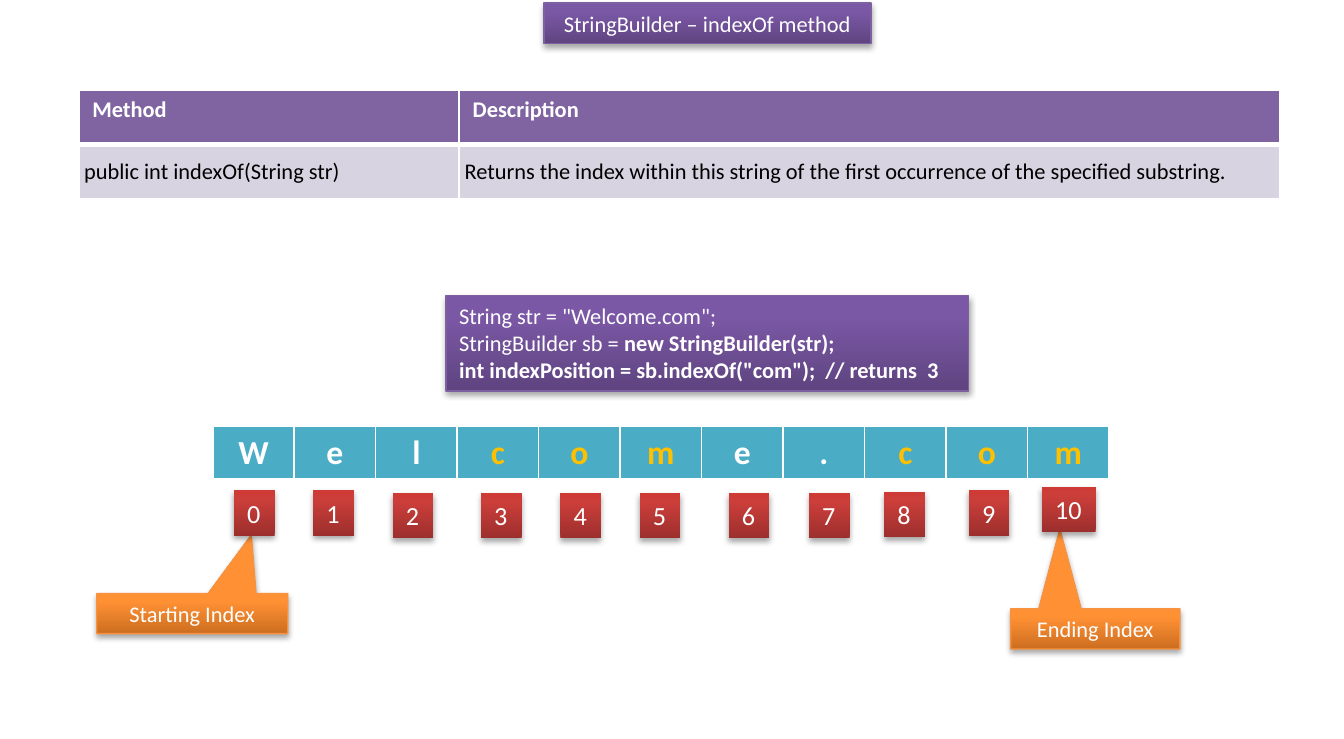
from copy import deepcopy

from lxml.etree import SubElement
from pptx import Presentation
from pptx.dml.color import RGBColor
from pptx.enum.shapes import MSO_SHAPE
from pptx.enum.text import MSO_ANCHOR, MSO_AUTO_SIZE, PP_ALIGN
from pptx.oxml.ns import qn
from pptx.util import Cm, Pt

WHITE, BLACK, GOLD = "FFFFFF", "000000", "FFC000"
HEADER, BODY, TEAL = "8064A2", "D8D3E0", "4BACC6"
PURPLE_GRADIENT = ("5F4480", "7B58A6", "7C57A8")
RED_GRADIENT = ("9C2F2D", "CB3E3A", "CE3B37")
ORANGE_GRADIENT = ("CC6E20", "FF9034", "FF9136")
PURPLE_LINE, ORANGE_LINE = "7D60A0", "F69240"

WORD = "Welcome.com"
MATCH = "com"
INDEX_LEFTS = (4.42, 5.92, 7.42, 9.09, 10.59, 12.09, 13.77, 15.29, 16.71, 18.31, 19.69)
INDEX_TOPS = (9.27, 9.27) + (9.32,) * 6 + (9.3, 9.27, 9.2)


def rgb(color):
    return RGBColor.from_string(color)


def add_run(p, text, size, color=WHITE, bold=False):
    r = p.add_run()
    r.text = text
    r.font.name = "Calibri"
    r.font.size = Pt(size)
    r.font.bold = bold
    r.font.color.rgb = rgb(color)


def fill_gradient(sp, colors):
    """Blend from the first colour at the bottom to the last at the top."""
    sp.fill.gradient()
    sp.fill.gradient_angle = 90
    stop_list = sp._element.spPr.find(qn("a:gradFill")).find(qn("a:gsLst"))
    stop_list.append(deepcopy(stop_list[-1]))
    for stop, position, color in zip(sp.fill.gradient_stops, (0, 0.8, 1), colors):
        stop.position = position
        stop.color.rgb = rgb(color)


def add_shadow(sp):
    sp.shadow.inherit = False
    effects = sp._element.spPr.find(qn("a:effectLst"))
    shadow = SubElement(effects, qn("a:outerShdw"), blurRad="40000", dist="23000",
                        dir="5400000", rotWithShape="0")
    color = SubElement(shadow, qn("a:srgbClr"), val=BLACK)
    SubElement(color, qn("a:alpha"), val="35000")


def add_box(s, box, lines, gradient, line=None, size=12, align=PP_ALIGN.LEFT,
            anchor=MSO_ANCHOR.TOP, wrap=True, shape=MSO_SHAPE.RECTANGLE):
    """Add a shaded shape; each line of text is a list of (text, bold) runs."""
    sp = s.shapes.add_shape(shape, *map(Cm, box))
    fill_gradient(sp, gradient)
    if line:
        sp.line.color.rgb = rgb(line)
        sp.line.width = Pt(0.75)
    else:
        sp.line.fill.background()
    add_shadow(sp)
    tf = sp.text_frame
    tf.word_wrap = wrap
    tf.vertical_anchor = anchor
    if shape == MSO_SHAPE.RECTANGLE:
        tf.auto_size = MSO_AUTO_SIZE.SHAPE_TO_FIT_TEXT
    for i, runs in enumerate(lines):
        p = tf.add_paragraph() if i else tf.paragraphs[0]
        p.alignment = align
        for text, bold in runs:
            add_run(p, text, size, bold=bold)
    return sp


def add_callout(s, box, text, tip):
    sp = add_box(s, box, [[(text, False)]], ORANGE_GRADIENT, ORANGE_LINE,
                 align=PP_ALIGN.CENTER, anchor=MSO_ANCHOR.MIDDLE,
                 shape=MSO_SHAPE.RECTANGULAR_CALLOUT)
    sp.adjustments[0], sp.adjustments[1] = tip


def add_grid(s, left, top, widths, rows, row_height=1.03):
    table = s.shapes.add_table(rows, len(widths), Cm(left), Cm(top),
                               Cm(sum(widths)), Cm(row_height * rows)).table
    for column, width in zip(table.columns, widths):
        column.width = Cm(width)
    for row in table.rows:
        row.height = Cm(row_height)
    return table


def set_cell(cell, text, size, fill, color=WHITE, bold=True, bottom=3,
             align=PP_ALIGN.LEFT):
    tcPr = cell._tc.get_or_add_tcPr()
    for side, width in (("L", 1), ("R", 1), ("T", 1), ("B", bottom)):
        ln = SubElement(tcPr, qn("a:ln" + side), w=str(Pt(width)))
        SubElement(SubElement(ln, qn("a:solidFill")), qn("a:srgbClr"), val=WHITE)
    cell.fill.solid()
    cell.fill.fore_color.rgb = rgb(fill)
    p = cell.text_frame.paragraphs[0]
    p.alignment = align
    add_run(p, text, size, color, bold)


def add_method_table(s):
    table = add_grid(s, 1.49, 1.7, (7.19, 15.5), 2)
    for i, text in enumerate(("Method", "Description")):
        set_cell(table.cell(0, i), text, 12, HEADER)
    details = ("public int indexOf(String str)",
               "Returns the index within this string of the first occurrence "
               "of the specified substring.")
    for i, text in enumerate(details):
        cell = table.cell(1, i)
        cell.margin_left = cell.margin_right = Cm(0.1)
        cell.margin_top = cell.margin_bottom = Cm(0.1)
        cell.vertical_anchor = MSO_ANCHOR.MIDDLE
        set_cell(cell, text, 12, BODY, BLACK, bold=False, bottom=1)


def add_letters(s):
    table = add_grid(s, 4.02, 8.05, (1.54,) * len(WORD), 1)
    matched = {start + k for start in range(len(WORD))
               if WORD.startswith(MATCH, start) for k in range(len(MATCH))}
    for i, letter in enumerate(WORD):
        set_cell(table.cell(0, i), letter, 18, TEAL,
                 GOLD if i in matched else WHITE, align=PP_ALIGN.CENTER)


def add_indexes(s):
    for i, (left, top) in enumerate(zip(INDEX_LEFTS, INDEX_TOPS)):
        width = 0.77 if i < 10 else 1.02
        add_box(s, (left, top, width, 0.86), [[(str(i), False)]], RED_GRADIENT,
                size=14, wrap=False)


def main():
    prs = Presentation()
    prs.slide_width, prs.slide_height = Cm(25.4), Cm(13.97)
    s = prs.slides.add_slide(prs.slide_layouts[6])
    add_box(s, (10.28, 0.06, 6.18, 0.77), [[("StringBuilder – indexOf method", False)]],
            PURPLE_GRADIENT, PURPLE_LINE, align=PP_ALIGN.CENTER)
    add_method_table(s)
    add_letters(s)
    add_callout(s, (1.83, 11.22, 3.61, 0.76), "Starting Index", (0.309, -1.952))
    add_callout(s, (19.1, 11.51, 3.2, 0.76), "Ending Index", (-0.209, -2.479))
    add_indexes(s)
    code = [
        [('String str = "Welcome.com";', False)],
        [("StringBuilder sb = ", False), ("new StringBuilder(str);", True)],
        [('int indexPosition = sb.indexOf("com");  // returns  3', True)],
    ]
    add_box(s, (8.43, 5.59, 9.88, 1.8), code, PURPLE_GRADIENT, PURPLE_LINE)
    prs.save("out.pptx")


if __name__ == "__main__":
    main()
